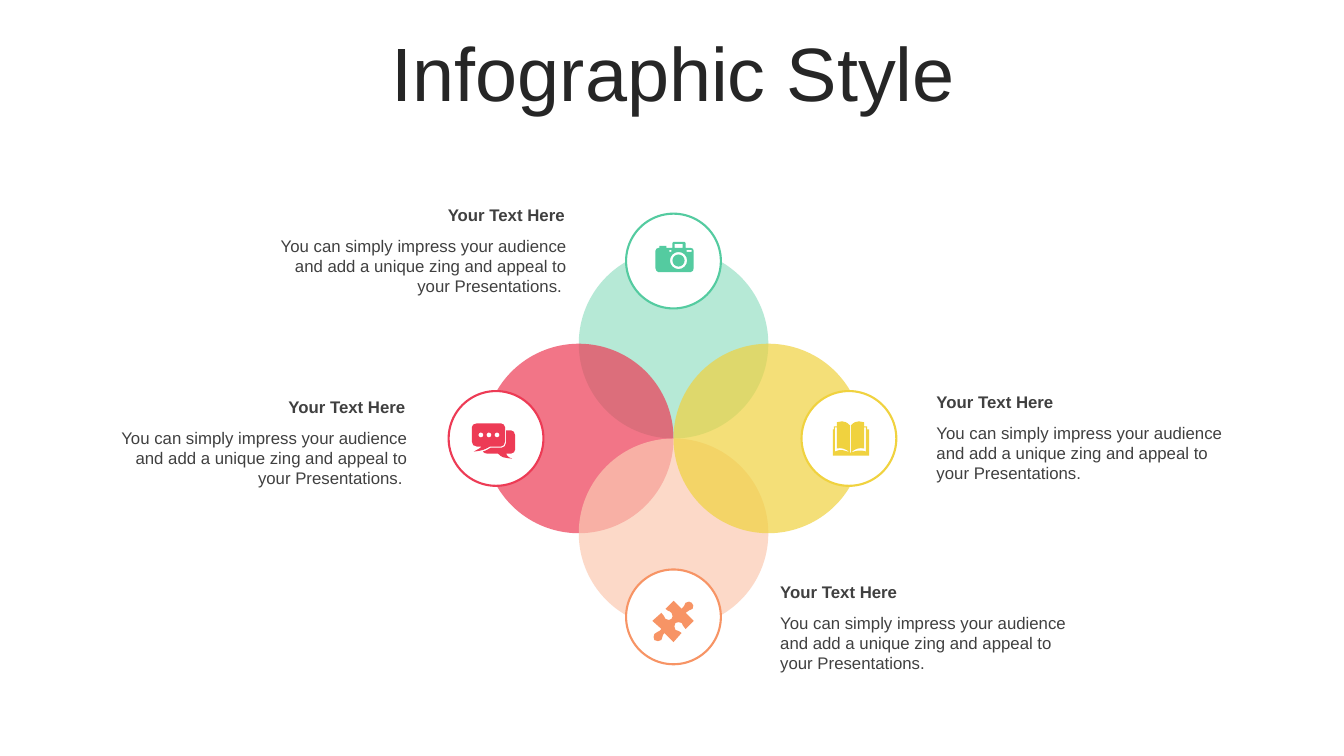
from dataclasses import dataclass

from lxml import etree
from pptx import Presentation
from pptx.dml.color import RGBColor
from pptx.enum.shapes import MSO_SHAPE
from pptx.enum.text import MSO_ANCHOR, MSO_AUTO_SIZE, PP_ALIGN
from pptx.oxml.ns import qn
from pptx.util import Inches, Pt

ELLIPSE = MSO_SHAPE.OVAL
LEFT, CENTER, RIGHT = PP_ALIGN.LEFT, PP_ALIGN.CENTER, PP_ALIGN.RIGHT
MIDDLE = MSO_ANCHOR.MIDDLE
NO_FIT, GROW = MSO_AUTO_SIZE.NONE, MSO_AUTO_SIZE.SHAPE_TO_FIT_TEXT


@dataclass(frozen=True)
class Theme:
    font: str = "Arial"
    title: str = "262626"
    text: str = "404040"
    white: str = "FFFFFF"
    mint: str = "98E0C6"
    green: str = "54CBA0"
    red: str = "ED3B55"
    peach: str = "FBCAB2"
    orange: str = "F79465"
    yellow: str = "F0D23F"
    title_size: int = 54
    text_size: int = 12
    petal_alpha: int = 70


T = Theme()

CAMERA = """O 23 18.5 6 O 23 18.5 8.5 R 14 8 16 10 R 31 8 36 10 R 19 2 27 6
M 18 0 L 29 0 C 29 0 30 1 30 1 L 30 6 L 35 6 C 37 6 38 7 38 9 L 38 26
C 38 28 37 30 35 30 L 3 30 C 2 30 0 28 0 26 L 0 9 C 0 7 2 6 3 6 L 4 6 L 4 4
C 4 4 4 4 5 4 L 10 4 C 10 4 11 4 11 4 L 11 6 L 17 6 L 17 1 C 17 1 17 0 18 0"""

BUBBLES = """O 25 11.5 2.5 O 17 11.5 2.5 O 9 11.5 2.5
M 34 7 L 39 7 C 41 7 43 9 43 12 L 43 26 C 43 28 41 30 39 30 L 34 30
C 35 32 35 33 40 35 C 31 34 30 34 26 30 L 15 30 C 13 30 12 29 11 28
C 14 27 16 26 19 24 L 30 24 C 32 24 34 22 34 19 L 34 7
M 5 0 L 29 0 C 31 0 33 2 33 4 L 33 18 C 33 21 31 23 29 23 L 18 23
C 13 26 11 27 2 28 C 7 25 8 25 10 23 L 5 23 C 2 23 0 21 0 18 L 0 4 C 0 2 2 0 5 0"""

PUZZLE = """M 39 2 C 41 3 41 6 40 8 C 38 10 35 9 33 12 L 41 20 L 33 28
C 30 26 31 24 29 22 C 27 21 25 21 23 22 C 22 24 21 27 23 29 C 26 31 27 29 29 32
L 21 41 L 12 32 C 9 35 11 36 9 39 C 7 41 4 40 2 39 C 1 37 1 35 2 33
C 4 30 6 32 9 28 L 0 20 L 9 12 C 12 14 11 16 13 18 C 15 20 18 19 19 18
C 20 17 21 14 19 12 C 16 9 15 11 13 8 L 21 0 L 29 8 C 32 6 31 5 33 2 C 35 0 38 1 39 2"""

BOOK = """M 17 31 C 17 31 18 31 18 31 L 18 31 C 24 29 27 28 33 30 L 33 6 L 31 6
C 31 13 31 20 31 27 C 27 26 22 27 18 31 L 18 6 L 18 5 L 18 4 C 21 1 23 0 26 0
C 28 0 29 0 31 1 C 31 2 31 3 31 5 L 34 5 L 34 8 L 36 8 L 36 34 L 0 34 L 0 8 L 1 8
L 1 5 L 4 5 C 4 3 4 2 4 1 C 6 0 7 0 9 0 C 12 0 14 1 17 4 L 17 5 L 17 6 L 17 31
C 13 27 8 26 4 27 L 4 6 L 2 6 L 2 30 C 8 27 12 29 17 31"""

ARG_COUNT = {"M": 2, "L": 2, "C": 6, "O": 3, "R": 4}

PETALS = [
    (0, -1, 1.76, T.mint, T.green, CAMERA, (-0.18, -0.19)),
    (-1, 0, 1.76, T.red, T.red, BUBBLES, (-0.24, -0.15)),
    (0, 1, 1.77, T.peach, T.orange, PUZZLE, (-0.21, -0.16)),
    (1, 0, 1.74, T.yellow, T.yellow, BOOK, (-0.16, -0.17)),
]

HEADING = "Your Text Here"
BODY = ("You can simply impress your audience and add a unique zing "
        "and appeal to your Presentations.")
CALLOUTS = [
    (2.59, 1.98, 3.13, 0.31, RIGHT),
    (0.98, 3.89, 3.16, 0.3, RIGHT),
    (7.64, 5.72, 3.13, 0.31, LEFT),
    (9.19, 3.84, 3.16, 0.3, LEFT),
]


def write(tf, text, size=T.text_size, color=T.text, bold=False, align=LEFT):
    p = tf.paragraphs[0]
    p.alignment = align
    r = p.add_run()
    r.text = text
    r.font.name, r.font.size, r.font.bold = T.font, Pt(size), bold
    r.font.color.rgb = RGBColor.from_string(color)
    return p


def paint(sp, fill, line=None, alpha=None):
    sp.shadow.inherit = False
    sp.fill.solid()
    sp.fill.fore_color.rgb = RGBColor.from_string(fill)
    if alpha:
        clr = sp._element.spPr.find(qn("a:solidFill")).find(qn("a:srgbClr"))
        etree.SubElement(clr, qn("a:alpha")).set("val", str(alpha * 1000))
    if line:
        sp.line.color.rgb = RGBColor.from_string(line)
        sp.line.width = Pt(1.5)
    else:
        sp.line.fill.background()


def add_disc(shapes, cx, cy, d, fill, **style):
    sp = shapes.add_shape(ELLIPSE, Inches(cx - d / 2), Inches(cy - d / 2),
                          Inches(d), Inches(d))
    paint(sp, fill, **style)


def circle(cx, cy, rad):
    k = 0.55
    turns = [(1, 0), (0, 1), (-1, 0), (0, -1), (1, 0)]
    segments = [[(cx + rad, cy)]]
    for (ax, ay), (bx, by) in zip(turns, turns[1:]):
        arc = [(ax + k * bx, ay + k * by), (bx + k * ax, by + k * ay), (bx, by)]
        segments.append([(cx + rad * x, cy + rad * y) for x, y in arc])
    return segments


def trace(outline):
    contours, words = [], outline.split()
    while words:
        cmd, n = words[0], ARG_COUNT[words[0]]
        v = [float(w) for w in words[1:n + 1]]
        words = words[n + 1:]
        if cmd == "O":
            contours.append(circle(*v))
        elif cmd == "R":
            x1, y1, x2, y2 = v
            contours.append([[(x1, y1)], [(x2, y1)], [(x2, y2)], [(x1, y2)]])
        else:
            if cmd == "M":
                contours.append([])
            contours[-1].append(list(zip(v[::2], v[1::2])))
    return contours


def bend(sp, segments):
    lines = list(sp._element.spPr.iter(qn("a:lnTo")))
    for line, points in zip(lines, segments):
        if len(points) == 3:
            curve = etree.Element(qn("a:cubicBezTo"))
            for x, y in points:
                etree.SubElement(curve, qn("a:pt"), x=str(x - sp.left), y=str(y - sp.top))
            line.getparent().replace(line, curve)


def add_icon(shapes, x, y, outline, color):
    contours = [[[(Inches(x + px / 100), Inches(y + py / 100)) for px, py in segment]
                 for segment in contour] for contour in trace(outline)]
    fb = shapes.build_freeform(*contours[0][0][0], scale=1.0)
    for i, (start, *rest) in enumerate(contours):
        if i:
            fb.move_to(*start[0])
        fb.add_line_segments([segment[-1] for segment in rest], close=True)
    sp = fb.convert_to_shape()
    bend(sp, [segment for contour in contours for segment in contour[1:]])
    paint(sp, color)


def add_title(s, text, x, y, w, h):
    sp = s.shapes.title
    sp.left, sp.top, sp.width, sp.height = map(Inches, (x, y, w, h))
    tf = sp.text_frame
    tf.word_wrap, tf.auto_size, tf.vertical_anchor = True, NO_FIT, MIDDLE
    p = write(tf, text, size=T.title_size, color=T.title, align=CENTER)
    p.line_spacing = 0.9


def add_flower(s, cx, cy, petal, badge):
    shapes = s.shapes.add_group_shape().shapes
    for dx, dy, _, tint, *_ in PETALS:
        add_disc(shapes, cx + dx * petal / 2, cy + dy * petal / 2, petal, tint,
                 alpha=T.petal_alpha)
    for dx, dy, reach, _, color, *_ in PETALS:
        add_disc(shapes, cx + dx * reach, cy + dy * reach, badge, T.white, line=color)
    for dx, dy, reach, _, color, outline, (ix, iy) in PETALS:
        add_icon(s.shapes, cx + dx * reach + ix, cy + dy * reach + iy, outline, color)


def add_callout(s, x, y, w, drop, align):
    shapes = s.shapes.add_group_shape().shapes
    body = BODY + " " if align == RIGHT else BODY
    for text, top, width, height, bold in ((body, y + drop, w, 0.71, False),
                                           (HEADING, y, w - 0.02, 0.3, True)):
        tf = shapes.add_textbox(Inches(x), Inches(top), Inches(width),
                                Inches(height)).text_frame
        tf.word_wrap, tf.auto_size = True, GROW
        write(tf, text, bold=bold, align=align)


def main():
    prs = Presentation()
    prs.slide_width, prs.slide_height = Inches(13.33), Inches(7.5)
    s = prs.slides.add_slide(prs.slide_layouts[5])
    add_title(s, "Infographic Style", 0.35, 0.37, 12.66, 0.79)
    add_flower(s, 6.68, 4.35, petal=1.88, badge=0.94)
    for callout in CALLOUTS:
        add_callout(s, *callout)
    prs.save("out.pptx")


if __name__ == "__main__":
    main()
